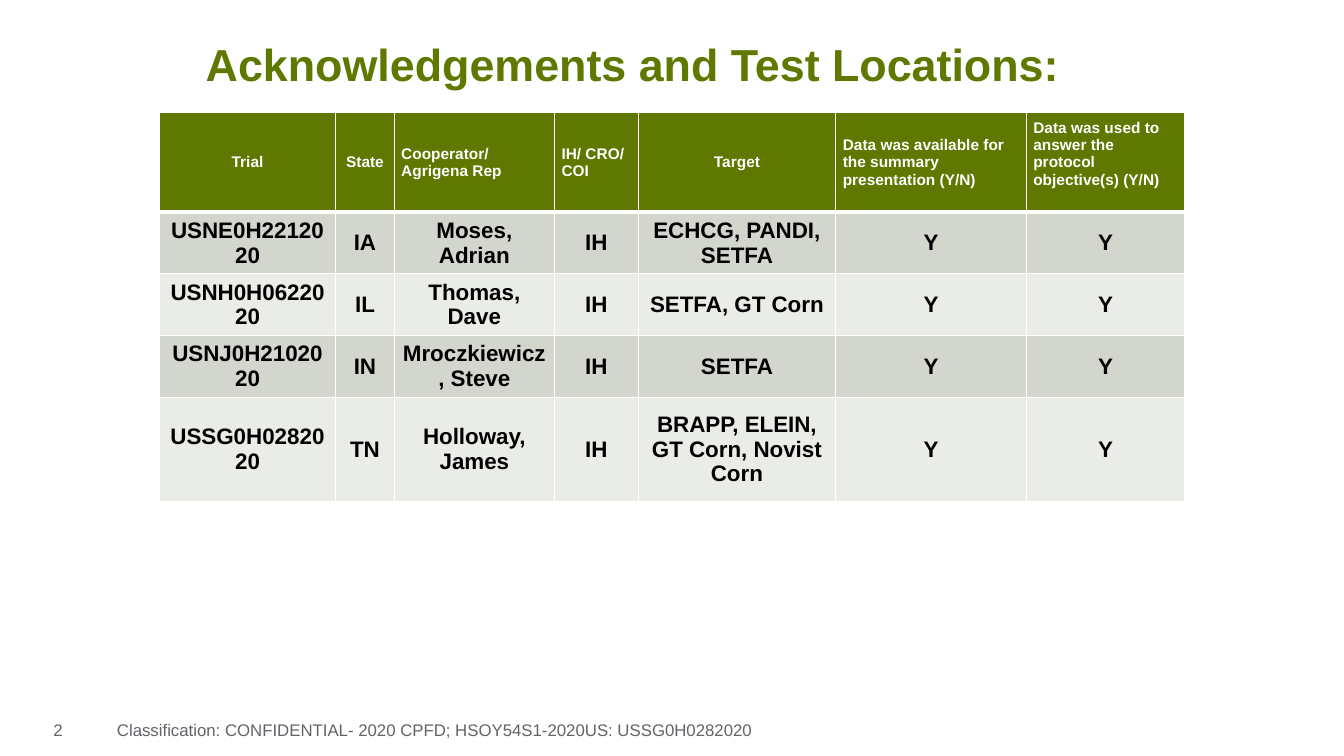
from lxml import etree
from pptx import Presentation
from pptx.dml.color import RGBColor
from pptx.enum.text import MSO_ANCHOR, PP_ALIGN
from pptx.oxml.ns import qn
from pptx.util import Inches, Pt

LEFT, CENTER = PP_ALIGN.LEFT, PP_ALIGN.CENTER
TOP, MIDDLE = MSO_ANCHOR.TOP, MSO_ANCHOR.MIDDLE

GREEN = RGBColor(0x5F, 0x78, 0x00)
GRAY = RGBColor(0x62, 0x64, 0x69)
DARK_BAND = RGBColor(0xD2, 0xD6, 0xCC)
LIGHT_BAND = RGBColor(0xEA, 0xEC, 0xE7)
WHITE = RGBColor(0xFF, 0xFF, 0xFF)
BLACK = RGBColor(0x00, 0x00, 0x00)

COLUMN_WIDTHS = [1.75, 0.58, 1.59, 0.83, 1.96, 1.89, 1.57]
ROW_HEIGHTS = [0.93, 0.57, 0.57, 0.57, 1.03]
LEFT_HEADERS = {2, 3, 5, 6}
HEADERS = [
    "Trial", "State", "Cooperator/\nAgrigena Rep", "IH/ CRO/ COI", "Target",
    "Data was available for the summary presentation (Y/N)",
    "Data was used to answer the protocol objective(s) (Y/N)",
]
TRIALS = [
    ["USNE0H2212020", "IA", "Moses,\nAdrian", "IH", "ECHCG, PANDI, SETFA", "Y", "Y"],
    ["USNH0H0622020", "IL", "Thomas,\nDave", "IH", "SETFA, GT Corn", "Y", "Y"],
    ["USNJ0H2102020", "IN", "Mroczkiewicz, Steve", "IH", "SETFA", "Y", "Y"],
    ["USSG0H0282020", "TN", "Holloway,\nJames", "IH",
     "BRAPP, ELEIN, GT Corn, Novist Corn", "Y", "Y"],
]


class TrialPage:
    font_name = "Arial"

    def __init__(self, deck):
        self.page = deck.slides.add_slide(deck.slide_layouts[6])

    def add_lines(self, frame, text, size, color, bold=False, align=LEFT):
        para = frame.paragraphs[0]
        para.alignment = align
        for index, line in enumerate(text.split("\n")):
            if index:
                para.add_line_break()
            span = para.add_run()
            span.text = line
            span.font.name = self.font_name
            span.font.size = Pt(size)
            span.font.bold = bold
            span.font.color.rgb = color
        return para

    def add_text(self, place, text, size, color, insets, bold=False, anchor=TOP):
        box = self.page.shapes.add_textbox(*map(Inches, place))
        frame = box.text_frame
        frame.word_wrap = True
        frame.vertical_anchor = anchor
        (frame.margin_left, frame.margin_top,
         frame.margin_right, frame.margin_bottom) = map(Inches, insets)
        return self.add_lines(frame, text, size, color, bold)

    def add_borders(self, cell, top, bottom):
        properties = cell._tc.get_or_add_tcPr()
        widths = {"lnL": 1, "lnR": 1, "lnT": top, "lnB": bottom}
        for index, (side, width) in enumerate(widths.items()):
            line = etree.Element(qn(f"a:{side}"), w=str(Pt(width)))
            fill = etree.SubElement(line, qn("a:solidFill"))
            etree.SubElement(fill, qn("a:srgbClr"), val=str(WHITE))
            properties.insert(index, line)

    def fill_cell(self, cell, text, size, color, fill, align):
        cell.fill.solid()
        cell.fill.fore_color.rgb = fill
        cell.vertical_anchor = MIDDLE
        cell.margin_left = cell.margin_right = Inches(0.07)
        cell.margin_top = cell.margin_bottom = Inches(0.04)
        self.add_lines(cell.text_frame, text, size, color, True, align)

    def add_trials(self, left, top, headers, records):
        grid = self.page.shapes.add_table(
            len(ROW_HEIGHTS), len(COLUMN_WIDTHS), Inches(left), Inches(top),
            Inches(sum(COLUMN_WIDTHS)), Inches(sum(ROW_HEIGHTS))).table
        for column, width in zip(grid.columns, COLUMN_WIDTHS):
            column.width = Inches(width)
        for row, height in zip(grid.rows, ROW_HEIGHTS):
            row.height = Inches(height)
        for index, header in enumerate(headers):
            cell = grid.cell(0, index)
            align = LEFT if index in LEFT_HEADERS else CENTER
            self.fill_cell(cell, header, 11, WHITE, GREEN, align)
            self.add_borders(cell, 1, 3)
        grid.cell(0, len(headers) - 1).margin_bottom = Inches(0.21)
        for number, record in enumerate(records, 1):
            fill = DARK_BAND if number % 2 else LIGHT_BAND
            for index, value in enumerate(record):
                cell = grid.cell(number, index)
                self.fill_cell(cell, value, 16, BLACK, fill, CENTER)
                self.add_borders(cell, 3 if number == 1 else 1, 1)


def main():
    deck = Presentation()
    deck.slide_width = Inches(13.33)
    deck.slide_height = Inches(7.5)
    page = TrialPage(deck)
    page.add_text((0.43, 7.09, 0.81, 0.41), "2", 12, GRAY, (0.1, 0.05, 0.1, 0.05))
    title = page.add_text((2.04, 0.42, 9.25, 0.49), "Acknowledgements and Test Locations:",
                          32, GREEN, (0, 0, 0, 0), True, MIDDLE)
    title.line_spacing = 0.9
    page.add_trials(1.58, 1.12, HEADERS, TRIALS)
    page.add_text((1.16, 7.09, 8.39, 0.41),
                  "Classification: CONFIDENTIAL- 2020 CPFD; HSOY54S1-2020US: USSG0H0282020",
                  12, GRAY, (0, 0.05, 0.1, 0.05))
    deck.save("out.pptx")


if __name__ == "__main__":
    main()
